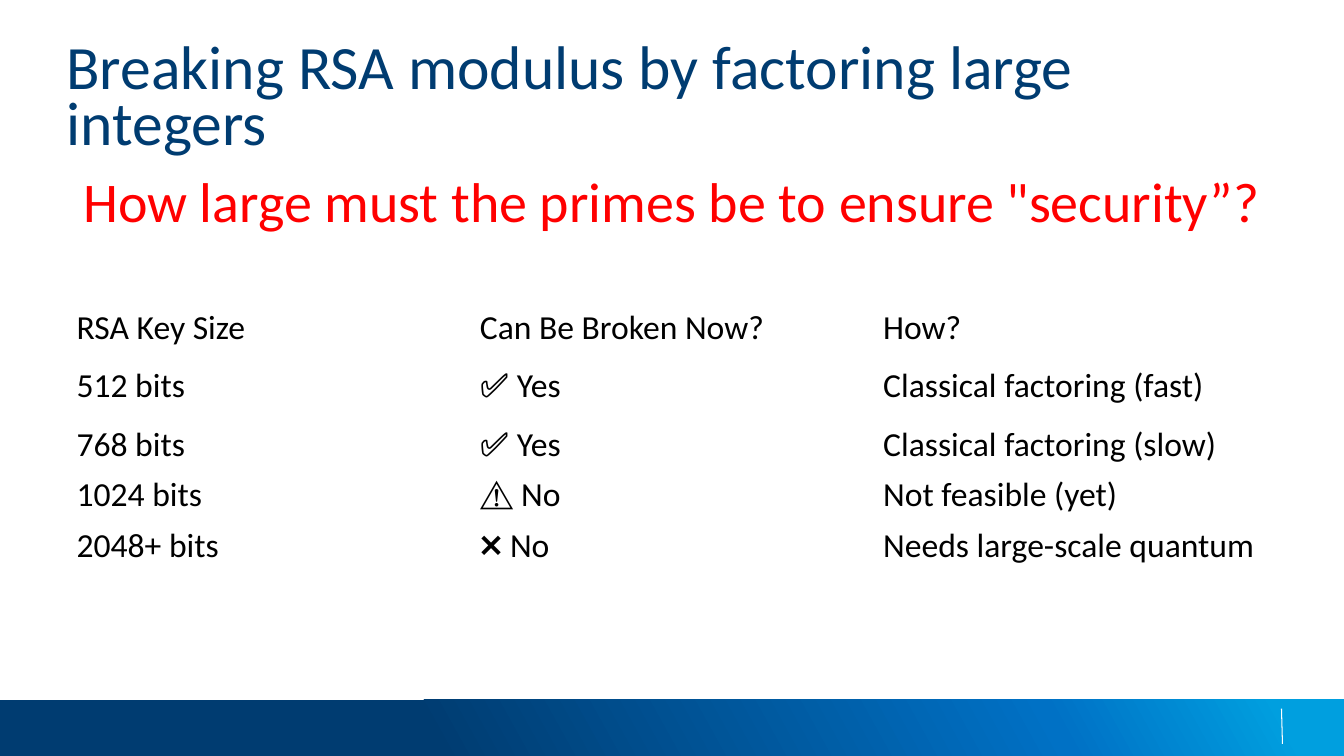
from copy import deepcopy

from lxml import etree
from pptx import Presentation
from pptx.dml.color import RGBColor
from pptx.enum import shapes, text
from pptx.oxml.ns import qn
from pptx.util import Inches, Pt

NAVY = RGBColor(0x00, 0x3C, 0x71)
BLUE = RGBColor(0x00, 0x71, 0xC5)
SKY = RGBColor(0x00, 0x9F, 0xDF)
WHITE = RGBColor(0xFF, 0xFF, 0xFF)
BLACK = RGBColor(0x00, 0x00, 0x00)
RED = RGBColor(0xFF, 0x00, 0x00)

LEFT, WIDTH = Inches(0.66), Inches(12)

prs = Presentation()
prs.slide_width, prs.slide_height = Inches(13.33), Inches(7.5)
slide = prs.slides.add_slide(prs.slide_layouts[6])


def add_run(paragraph, words, size, color):
    run = paragraph.add_run()
    run.text = words
    run.font.name = "Calibri"
    run.font.size = Pt(size)
    run.font.color.rgb = color


def add_line_of_text(top, height, words, size, color):
    """Add a full-width text box without margins and return its paragraph."""
    frame = slide.shapes.add_textbox(LEFT, top, WIDTH, height).text_frame
    frame.word_wrap = True
    frame.margin_left = frame.margin_right = 0
    frame.margin_top = frame.margin_bottom = 0
    add_run(frame.paragraphs[0], words, size, color)
    return frame.paragraphs[0]


# Footer band
footer = slide.shapes.add_shape(
    shapes.MSO_SHAPE.RECTANGLE, 0, Inches(6.94), prs.slide_width, Inches(0.56))
footer.shadow.inherit = False
footer.line.fill.background()
footer.fill.gradient()
footer.fill.gradient_angle = 29
stop_list = footer._element.spPr.find(qn("a:gradFill")).find(qn("a:gsLst"))
stop_list.append(deepcopy(stop_list[-1]))
footer_stops = [(0.32, NAVY), (0.78, BLUE), (0.95, SKY)]
for stop, (position, color) in zip(footer.fill.gradient_stops, footer_stops):
    stop.position = position
    stop.color.rgb = color

divider = slide.shapes.add_connector(
    shapes.MSO_CONNECTOR.STRAIGHT,
    Inches(12.71), Inches(7.03), Inches(12.72), Inches(7.38))
divider.line.color.rgb = WHITE
divider.line.width = Pt(0.75)
etree.SubElement(divider._element.spPr, qn("a:effectLst"))

# Title and question
title = add_line_of_text(
    Inches(0.45), Inches(1.27),
    "Breaking RSA modulus by factoring large integers", 44, NAVY)
title.line_spacing = Pt(40)

question = add_line_of_text(
    Inches(1.65), Inches(0.83),
    'How large must the primes be to ensure "security”?', 40, RED)
question.alignment = text.PP_ALIGN.CENTER
question.space_before = Pt(16)

# Key sizes
key_sizes = [
    ("RSA Key Size", "Can Be Broken Now?", "How?"),
    ("512 bits", "✅ Yes", "Classical factoring (fast)"),
    ("768 bits", "✅ Yes", "Classical factoring (slow)"),
    ("1024 bits", "⚠ No", "Not feasible (yet)"),
    ("2048+ bits", "❌ No", "Needs large-scale quantum"),
]
row_heights = [0.5, 0.66, 0.5, 0.5, 0.5]
table = slide.shapes.add_table(
    len(key_sizes), 3, LEFT, Inches(3), WIDTH, Inches(sum(row_heights))).table
table.first_row = False
table.horz_banding = False
for row, height, entries in zip(table.rows, row_heights, key_sizes):
    row.height = Inches(height)
    for cell, entry in zip(row.cells, entries):
        cell.fill.background()
        cell.vertical_anchor = text.MSO_ANCHOR.MIDDLE
        add_run(cell.text_frame.paragraphs[0], entry, 24, BLACK)

prs.save("out.pptx")
